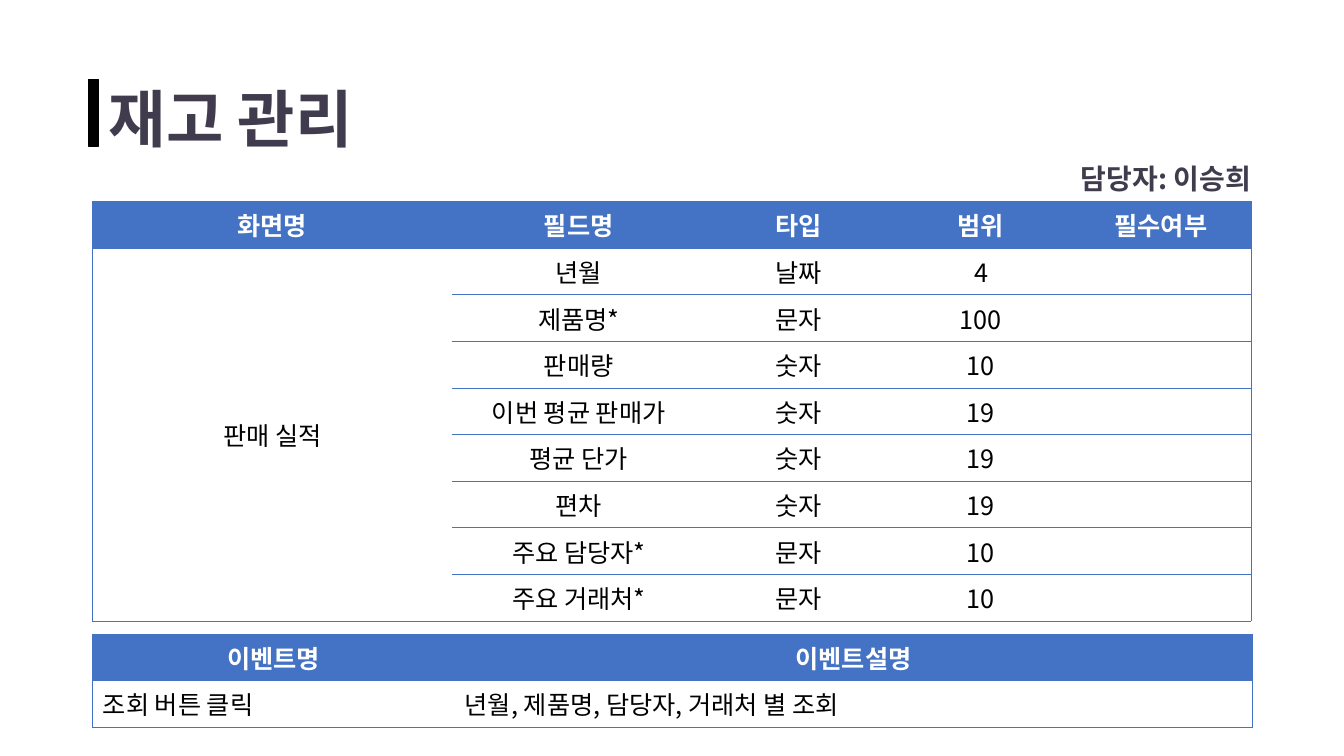
"""Build the inventory management slide with its field table and event table."""
from lxml.etree import SubElement
from pptx import Presentation
from pptx.dml.color import RGBColor
from pptx.enum.shapes import MSO_SHAPE
from pptx.enum.text import MSO_ANCHOR, PP_ALIGN
from pptx.oxml import parse_xml
from pptx.oxml.ns import nsdecls, qn
from pptx.util import Inches, Pt

COLORS = {"blue": "4472C4", "white": "FFFFFF", "black": "000000", "title": "403C4E"}
KOREAN = "Noto Sans CJK KR"
ROW_HEIGHT = 0.46


def add_span(para, text, size, color, bold, font=KOREAN):
    span = para.add_run()
    span.text = text
    span.font.size = Pt(size)
    span.font.bold = bold
    span.font.name = font
    span.font.color.rgb = RGBColor.from_string(COLORS[color])
    SubElement(span.font._element, qn("a:ea"), typeface=KOREAN)


def add_grid(page, top, widths, rows, body_align, merge_first=False):
    frame = page.shapes.add_table(
        len(rows), len(widths), Inches(0.92), Inches(top),
        Inches(sum(widths)), Inches(ROW_HEIGHT * len(rows)))
    grid = frame.table
    for column, width in zip(grid.columns, widths):
        column.width = Inches(width)
    if merge_first:
        grid.cell(1, 0).merge(grid.cell(len(rows) - 1, 0))
    for r, texts in enumerate(rows):
        grid.rows[r].height = Inches(ROW_HEIGHT)
        for c, text in enumerate(texts):
            cell = grid.cell(r, c)
            cell.vertical_anchor = MSO_ANCHOR.MIDDLE
            edges = {
                "L": c == 0,
                "R": c == len(widths) - 1,
                "T": not cell.is_spanned,
                "B": not cell.is_spanned or r == len(rows) - 1,
            }
            for side, shown in edges.items():
                paint = (f'<a:solidFill><a:srgbClr val="{COLORS["blue"]}"/></a:solidFill>'
                         if shown else "<a:noFill/>")
                cell._tc.get_or_add_tcPr().append(parse_xml(
                    f'<a:ln{side} {nsdecls("a")} w="6350">{paint}</a:ln{side}>'))
            header = r == 0
            cell.fill.solid()
            cell.fill.fore_color.rgb = RGBColor.from_string(
                COLORS["blue" if header else "white"])
            para = cell.text_frame.paragraphs[0]
            para.alignment = PP_ALIGN.CENTER if header else body_align
            if text:
                add_span(para, text, 18, "white" if header else "black", header)


deck = Presentation()
deck.slide_width, deck.slide_height = Inches(13.33), Inches(7.5)
page = deck.slides.add_slide(deck.slide_layouts[5])

fields = [
    ("화면명", "필드명", "타입", "범위", "필수여부"),
    ("판매 실적", "년월", "날짜", "4", ""),
    ("", "제품명*", "문자", "100", ""),
    ("", "판매량", "숫자", "10", ""),
    ("", "이번 평균 판매가", "숫자", "19", ""),
    ("", "평균 단가", "숫자", "19", ""),
    ("", "편차", "숫자", "19", ""),
    ("", "주요 담당자*", "문자", "10", ""),
    ("", "주요 거래처*", "문자", "10", ""),
]
events = [
    ("이벤트명", "이벤트설명"),
    ("조회 버튼 클릭", "년월, 제품명, 담당자, 거래처 별 조회"),
]
add_grid(page, 2, [3.56, 2.52, 1.84, 1.78, 1.79], fields, PP_ALIGN.CENTER, True)
add_grid(page, 6.29, [3.59, 7.91], events, PP_ALIGN.LEFT)

title = page.shapes.title
title.left, title.top, title.width, title.height = (
    Inches(value) for value in (1.08, 0.77, 6.2, 0.78))
manager = page.shapes.add_textbox(Inches(10.11), Inches(1.16), Inches(2.3), Inches(0.78))
headings = [
    (title, "재고 관리", 44.5, "Arial", PP_ALIGN.LEFT),
    (manager, "담당자: 이승희", 20, KOREAN, PP_ALIGN.RIGHT),
]
for box, text, size, font, align in headings:
    frame = box.text_frame
    frame.word_wrap = True
    frame.vertical_anchor = MSO_ANCHOR.TOP
    frame.margin_left = frame.margin_right = frame.margin_top = frame.margin_bottom = 0
    para = frame.paragraphs[0]
    para.alignment = align
    para.line_spacing = Pt(55.5)
    add_span(para, text, size, "title", True, font)

bar = page.shapes.add_shape(
    MSO_SHAPE.RECTANGLE, Inches(0.88), Inches(0.79), Inches(0.1), Inches(0.66))
bar.shadow.inherit = False
bar.fill.solid()
bar.fill.fore_color.rgb = RGBColor.from_string(COLORS["black"])
bar.line.color.rgb = RGBColor.from_string(COLORS["black"])
bar.line.width = Pt(1)

deck.save("out.pptx")
